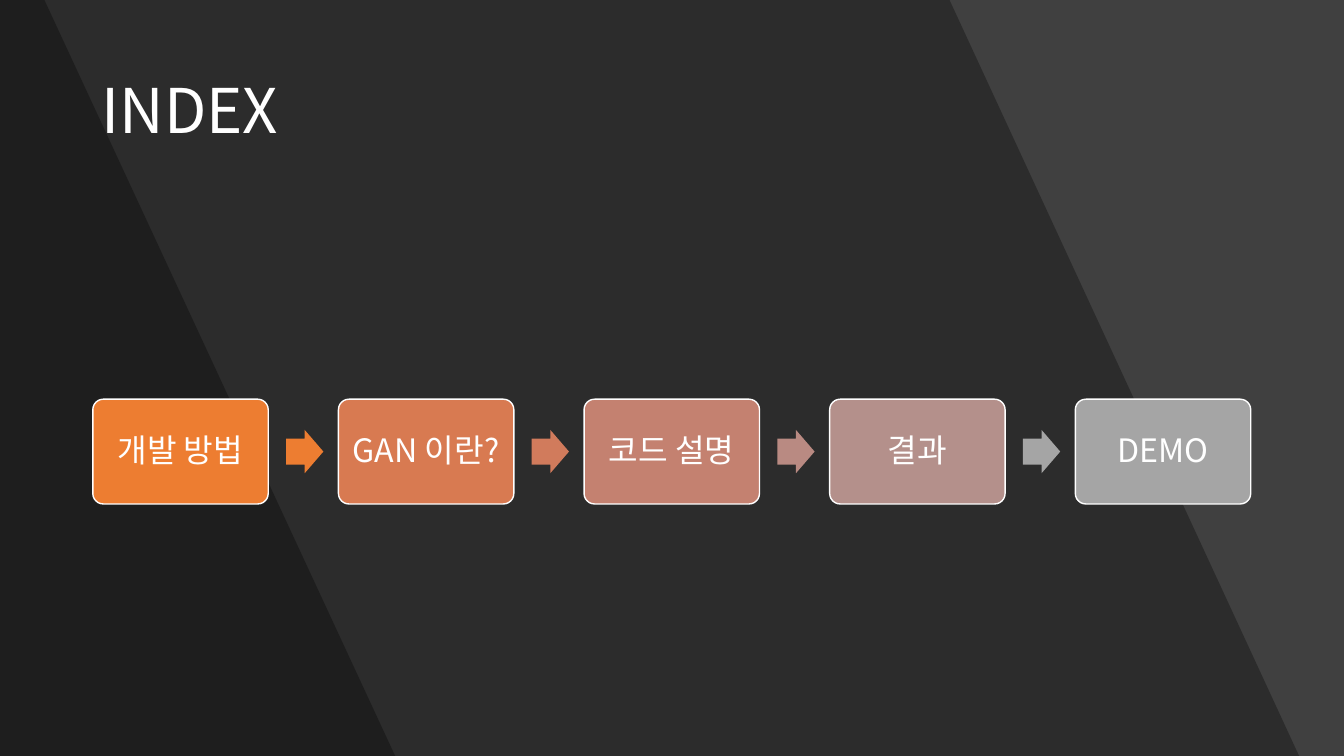
import pptx
import pptx.dml.color
import pptx.enum.shapes
import pptx.enum.text
import pptx.oxml.ns
import pptx.util
from lxml import etree

Cm = pptx.util.Cm
Pt = pptx.util.Pt
RGBColor = pptx.dml.color.RGBColor
Preset = pptx.enum.shapes.MSO_SHAPE
Align = pptx.enum.text.PP_ALIGN
qn = pptx.oxml.ns.qn

BACKGROUND = RGBColor(0x40, 0x40, 0x40)
BLACK = RGBColor(0x00, 0x00, 0x00)
WHITE = RGBColor(0xFF, 0xFF, 0xFF)
ORANGE = RGBColor(0xED, 0x7D, 0x31)
COPPER = RGBColor(0xD8, 0x7A, 0x51)
CORAL = RGBColor(0xD1, 0x7B, 0x5C)
ROSE = RGBColor(0xC4, 0x81, 0x70)
DUSTY_ROSE = RGBColor(0xB9, 0x8A, 0x82)
MAUVE = RGBColor(0xB4, 0x90, 0x8B)
GRAY = RGBColor(0xA5, 0xA5, 0xA5)

SLIDE_WIDTH, SLIDE_HEIGHT = 33.87, 19.05
STEP_LEFT, STEP_TOP, STEP_WIDTH, STEP_HEIGHT = 2.34, 10.06, 4.42, 2.64
STEP_PITCH = 6.19
ARROW_OFFSET, ARROW_WIDTH, ARROW_HEIGHT = 4.87, 0.94, 1.09

# Label, box colour, colour of the arrow that follows
STEPS = [
    ("개발 방법", ORANGE, ORANGE),
    ("GAN 이란?", COPPER, CORAL),
    ("코드 설명", ROSE, DUSTY_ROSE),
    ("결과", MAUVE, GRAY),
    ("DEMO", GRAY, None),
]


class IndexSlide:
    font_name = "Noto Sans CJK KR"

    def __init__(self, slide):
        self.slide = slide
        fill = slide.background.fill
        fill.solid()
        fill.fore_color.rgb = BACKGROUND

    def shade(self, top_right, bottom_right):
        """Darken the slide from its left edge to a slanted right edge."""
        builder = self.slide.shapes.build_freeform(0, 0)
        corners = [(top_right, 0), (bottom_right, SLIDE_HEIGHT), (0, SLIDE_HEIGHT)]
        builder.add_line_segments([(Cm(x), Cm(y)) for x, y in corners])
        shape = builder.convert_to_shape()
        self.paint(shape, BLACK)
        color = shape.element.spPr.find(qn("a:solidFill"))[0]
        etree.SubElement(color, qn("a:alpha"), val="30000")

    def paint(self, shape, color):
        shape.shadow.inherit = False
        shape.fill.solid()
        shape.fill.fore_color.rgb = color
        shape.line.fill.background()

    def set_text(self, shape, text, size, alignment):
        frame = shape.text_frame
        frame.word_wrap = True
        frame.vertical_anchor = pptx.enum.text.MSO_ANCHOR.MIDDLE
        paragraph = frame.paragraphs[0]
        paragraph.alignment = alignment
        paragraph.line_spacing = 0.9
        run = paragraph.add_run()
        run.text = text
        run.font.size = Pt(size)
        run.font.name = self.font_name
        run.font.color.rgb = WHITE
        properties = run.font._element
        etree.SubElement(properties, qn("a:ea"), typeface=self.font_name)

    def title(self, text):
        box = self.slide.shapes.add_textbox(Cm(2.31), Cm(1.02), Cm(29.24), Cm(3.68))
        self.set_text(box, text, 44, Align.LEFT)

    def step(self, left, label, color):
        box = self.slide.shapes.add_shape(
            Preset.ROUNDED_RECTANGLE,
            Cm(left), Cm(STEP_TOP), Cm(STEP_WIDTH), Cm(STEP_HEIGHT))
        box.adjustments[0] = 0.1
        self.paint(box, color)
        box.line.color.rgb = WHITE
        box.line.width = Pt(1)
        frame = box.text_frame
        frame.margin_left = frame.margin_right = Cm(0.25)
        frame.margin_top = frame.margin_bottom = Cm(0.25)
        self.set_text(box, label, 23, Align.CENTER)

    def arrow(self, left, color):
        top = STEP_TOP + (STEP_HEIGHT - ARROW_HEIGHT) / 2
        arrow = self.slide.shapes.add_shape(
            Preset.RIGHT_ARROW,
            Cm(left), Cm(top), Cm(ARROW_WIDTH), Cm(ARROW_HEIGHT))
        arrow.adjustments[0] = 0.6
        arrow.adjustments[1] = 0.5
        self.paint(arrow, color)


def main():
    presentation = pptx.Presentation()
    presentation.slide_width = Cm(SLIDE_WIDTH)
    presentation.slide_height = Cm(SLIDE_HEIGHT)
    index = IndexSlide(presentation.slides.add_slide(presentation.slide_layouts[6]))

    index.shade(23.93, 32.74)
    index.shade(1.12, 9.96)
    index.title("INDEX")
    for number, (label, box_color, arrow_color) in enumerate(STEPS):
        left = STEP_LEFT + number * STEP_PITCH
        index.step(left, label, box_color)
        if arrow_color is not None:
            index.arrow(left + ARROW_OFFSET, arrow_color)

    presentation.save("out.pptx")


if __name__ == "__main__":
    main()
